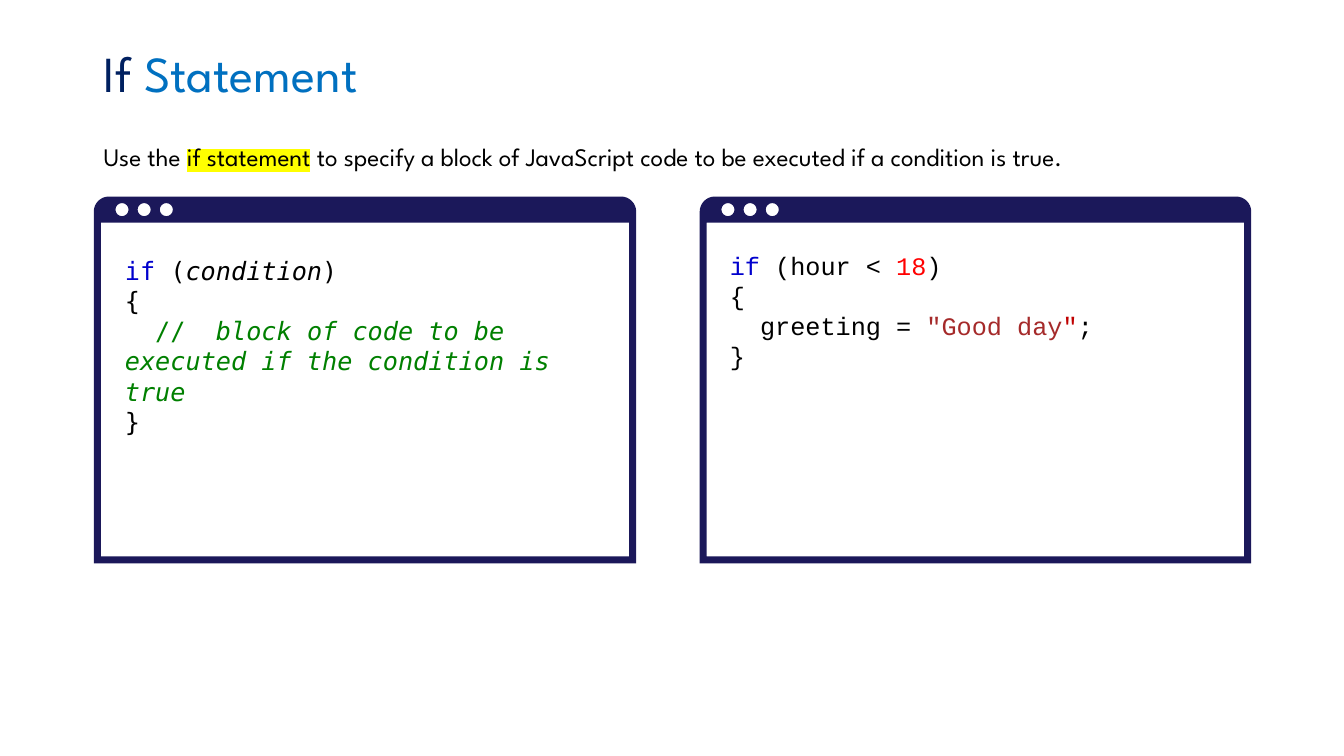
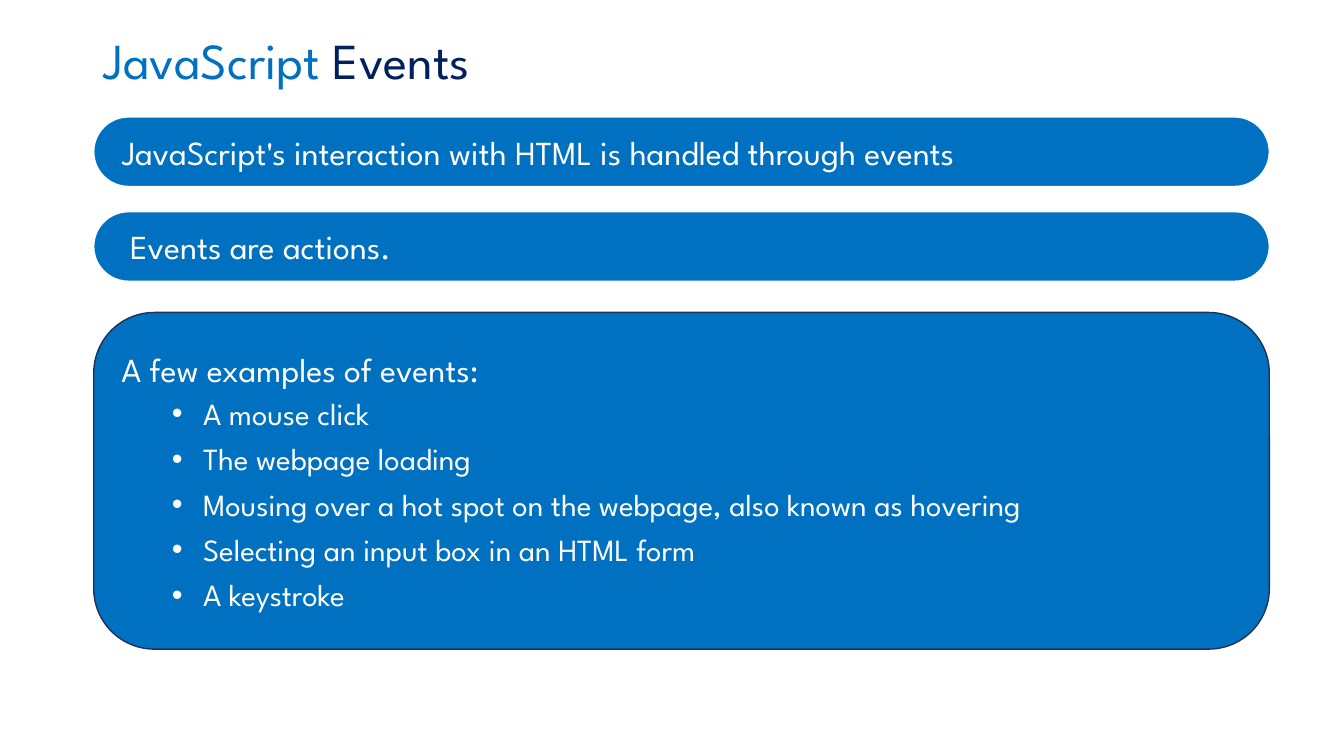
"""Build two JavaScript lesson slides: the if statement and events."""
from dataclasses import dataclass
from typing import Optional

from lxml import etree
from pptx import Presentation
from pptx.dml.color import RGBColor
from pptx.enum.shapes import MSO_SHAPE
from pptx.enum.text import MSO_ANCHOR, PP_ALIGN
from pptx.oxml.ns import qn
from pptx.shapes.autoshape import Shape
from pptx.slide import Slide
from pptx.text.text import TextFrame
from pptx.util import Inches, Pt

ROUNDED = MSO_SHAPE.ROUNDED_RECTANGLE
MIDDLE, TOP = MSO_ANCHOR.MIDDLE, MSO_ANCHOR.TOP
LEFT, JUSTIFY = PP_ALIGN.LEFT, PP_ALIGN.JUSTIFY
BLANK_LAYOUT = 6
ARC_PULL = 0.55
Point = tuple[float, float]


@dataclass(frozen=True)
class Theme:
    """Fonts, type sizes and colours of the deck."""
    font: str = "League Spartan"
    mono: str = "DejaVu Sans Mono"
    courier: str = "Courier New"
    bullet_font: str = "Arial"
    title_size: int = 36
    body_size: int = 18
    bar_size: int = 24
    bullet_size: int = 22
    navy: str = "002060"
    blue: str = "0070C0"
    frame: str = "1B185A"
    outline: str = "1E3256"
    white: str = "FFFFFF"
    black: str = "000000"
    marker: str = "FFFF00"
    keyword: str = "0000CD"
    comment: str = "008000"
    number: str = "FF0000"
    string: str = "A52A2A"
    quote: str = "C00000"


THEME = Theme()


@dataclass(frozen=True)
class Span:
    """A stretch of text in one style, with line breaks as newlines."""
    text: str
    color: str = THEME.black
    italic: bool = False
    highlight: str = ""


@dataclass(frozen=True)
class Line:
    """A paragraph with its type and spacing."""
    spans: tuple[Span, ...]
    size: int = THEME.body_size
    font: str = THEME.font
    align: PP_ALIGN = LEFT
    before: float = 0
    spacing: float = 1.0
    margin: float = 0
    indent: float = 0
    bullet: str = ""


@dataclass(frozen=True)
class Box:
    """A rectangle in inches."""
    left: float
    top: float
    width: float
    height: float


@dataclass(frozen=True)
class Step:
    """An outline point, reached by a quarter arc when a corner is given."""
    end: Point
    corner: Optional[Point] = None


@dataclass(frozen=True)
class CodeWindow:
    """A window frame and the code inside it."""
    frame: Box
    code: Box
    lines: tuple[Line, ...]


@dataclass(frozen=True)
class Panel:
    """A filled rounded panel with text."""
    box: Box
    rounding: float
    outline: str
    inset: float
    lines: tuple[Line, ...]


def code_line(font: str, *spans: Span) -> Line:
    """Return a paragraph of code."""
    return Line(spans, font=font)


def panel_line(text: str, before: float = 0) -> Line:
    """Return a large white line."""
    return Line((Span(text, THEME.white),), THEME.bar_size, align=JUSTIFY, before=before)


def bullet_line(text: str, before: float) -> Line:
    """Return a white bulleted line."""
    return Line((Span(text, THEME.white),), THEME.bullet_size, align=JUSTIFY,
                before=before, margin=0.81, indent=-0.31, bullet="•")


def write_lines(frame: TextFrame, lines: tuple[Line, ...], anchor: MSO_ANCHOR) -> None:
    """Write styled paragraphs into a text frame."""
    frame.word_wrap = True
    frame.vertical_anchor = anchor
    for position, line in enumerate(lines):
        paragraph = frame.add_paragraph() if position else frame.paragraphs[0]
        paragraph.alignment = line.align
        paragraph.space_before = Pt(line.before)
        paragraph.line_spacing = line.spacing
        if line.bullet:
            paragraph.level = 1
            properties = paragraph._p.get_or_add_pPr()
            properties.set("marL", str(Inches(line.margin)))
            properties.set("indent", str(Inches(line.indent)))
            etree.SubElement(properties, qn("a:buFont")).set("typeface", THEME.bullet_font)
            etree.SubElement(properties, qn("a:buChar")).set("char", line.bullet)
        for span in line.spans:
            for row, text in enumerate(span.text.split("\n")):
                if row:
                    paragraph.add_line_break()
                if not text:
                    continue
                run = paragraph.add_run()
                run.text = text
                run.font.name = line.font
                run.font.size = Pt(line.size)
                run.font.italic = span.italic
                run.font.color.rgb = RGBColor.from_string(span.color)
                if span.highlight:
                    highlight = etree.Element(qn("a:highlight"))
                    etree.SubElement(highlight, qn("a:srgbClr")).set("val", span.highlight)
                    run._r.rPr.find(qn("a:solidFill")).addnext(highlight)


def add_text(slide: Slide, box: Box, lines: tuple[Line, ...], anchor: MSO_ANCHOR) -> None:
    """Add a text box."""
    area = slide.shapes.add_textbox(Inches(box.left), Inches(box.top),
                                    Inches(box.width), Inches(box.height))
    write_lines(area.text_frame, lines, anchor)


def add_title(slide: Slide, top: float, *spans: Span) -> None:
    """Add the slide heading."""
    heading = Line(spans, THEME.title_size, spacing=0.9)
    add_text(slide, Box(0.93, top, 11.5, 0.8), (heading,), MIDDLE)


def paint(shape: Shape, fill: str) -> None:
    """Fill a shape and drop its shadow."""
    shape.shadow.inherit = False
    shape.fill.solid()
    shape.fill.fore_color.rgb = RGBColor.from_string(fill)


def circle(x: float, y: float, radius: float) -> list[Step]:
    """Return a circle as four quarter arcs."""
    left, right, top, bottom = x - radius, x + radius, y - radius, y + radius
    return [Step((right, y)), Step((x, top), (right, top)), Step((left, y), (left, top)),
            Step((x, bottom), (left, bottom)), Step((right, y), (right, bottom))]


def add_outline(slide: Slide, contours: list[list[Step]]) -> Shape:
    """Draw contours as one freeform and round its arcs."""
    start, *rest = [[(Inches(step.end[0]), Inches(step.end[1])) for step in contour]
                    for contour in contours]
    builder = slide.shapes.build_freeform(*start[0])
    builder.add_line_segments(start[1:])
    for points in rest:
        builder.move_to(*points[0])
        builder.add_line_segments(points[1:])
    shape = builder.convert_to_shape()
    steps = [step for contour in contours for step in contour]
    nodes = list(shape._element.iter(qn("a:moveTo"), qn("a:lnTo")))
    for index, (step, node) in enumerate(zip(steps, nodes)):
        if step.corner is None:
            continue
        curve = etree.Element(qn("a:cubicBezTo"))
        for anchor in (steps[index - 1].end, step.end):
            x, y = (end + (corner - end) * ARC_PULL
                    for end, corner in zip(anchor, step.corner))
            control = etree.SubElement(curve, qn("a:pt"))
            control.set("x", str(Inches(x) - shape.left))
            control.set("y", str(Inches(y) - shape.top))
        curve.append(node[0])
        node.getparent().replace(node, curve)
    return shape


def add_window_frame(slide: Slide, box: Box) -> None:
    """Draw a window frame with three round buttons cut out."""
    border, header, radius = 0.07, 0.26, 0.15
    left, top = box.left, box.top
    right, bottom = left + box.width, top + box.height
    outer = [Step((left, bottom)), Step((left, top + radius)),
             Step((left + radius, top), (left, top)), Step((right - radius, top)),
             Step((right, top + radius), (right, top)), Step((right, bottom))]
    pane = [Step((left + border, top + header)), Step((left + border, bottom - border)),
            Step((right - border, bottom - border)), Step((right - border, top + header))]
    buttons = [circle(left + 0.28 + 0.22 * index, top + 0.13, 0.065) for index in range(3)]
    window = add_outline(slide, [outer, pane, *buttons])
    paint(window, THEME.frame)
    window.line.fill.background()


def add_panel(slide: Slide, panel: Panel) -> None:
    """Draw a rounded panel with its text."""
    box = panel.box
    shape = slide.shapes.add_shape(ROUNDED, Inches(box.left), Inches(box.top),
                                   Inches(box.width), Inches(box.height))
    shape.adjustments[0] = panel.rounding
    paint(shape, THEME.blue)
    shape.line.color.rgb = RGBColor.from_string(panel.outline)
    shape.line.width = Pt(1)
    frame = shape.text_frame
    frame.margin_left = Inches(panel.inset)
    frame.margin_top = frame.margin_bottom = 0
    write_lines(frame, panel.lines, MIDDLE)


WINDOWS = (
    CodeWindow(Box(0.93, 1.95, 5.38, 3.64), Box(1.14, 2.48, 4.82, 1.92), (
        code_line(THEME.mono, Span("if ", THEME.keyword), Span("("),
                  Span("condition", italic=True), Span(")")),
        code_line(THEME.mono, Span("{\n  "), Span("//", THEME.comment),
                  Span("  block of code to be executed if the condition is true\n",
                       THEME.comment, italic=True), Span("}")),
    )),
    CodeWindow(Box(6.94, 1.95, 5.47, 3.64), Box(7.14, 2.43, 4.88, 1.31), (
        code_line(THEME.courier, Span("if ", THEME.keyword), Span("(hour < "),
                  Span("18", THEME.number), Span(")")),
        code_line(THEME.courier, Span("{\n  greeting = "), Span('"Good day', THEME.string),
                  Span('"', THEME.quote), Span(";\n}")),
    )),
)

EXAMPLES = ("A mouse click", "The webpage loading",
            "Mousing over a hot spot on the webpage, also known as hovering",
            "Selecting an input box in an HTML form", "A keystroke")

PANELS = (
    Panel(Box(0.93, 1.16, 11.66, 0.69), 0.5, THEME.white, 0.18,
          (panel_line("JavaScript's interaction with HTML is handled through events"),)),
    Panel(Box(0.93, 2.1, 11.66, 0.69), 0.5, THEME.white, 0.26,
          (panel_line("Events are actions."),)),
    Panel(Box(0.93, 3.1, 11.66, 3.34), 0.18, THEME.outline, 0.1,
          (panel_line("A few examples of events:", before=14),
           *(bullet_line(example, 6 if index else 4)
             for index, example in enumerate(EXAMPLES)))),
)


def build_if_slide(slide: Slide) -> None:
    """Build the slide on the if statement."""
    add_title(slide, 0.36, Span("If ", THEME.navy), Span("Statement", THEME.blue))
    usage = Line((
        Span("Use the "), Span("if statement", highlight=THEME.marker),
        Span(" to specify a block of JavaScript code to be executed if a condition is true."),
    ))
    add_text(slide, Box(0.93, 1.35, 11.74, 0.4), (usage,), MIDDLE)
    for window in WINDOWS:
        add_window_frame(slide, window.frame)
        add_text(slide, window.code, window.lines, TOP)


def build_events_slide(slide: Slide) -> None:
    """Build the slide on events."""
    add_title(slide, 0.23, Span("JavaScript ", THEME.blue), Span("Events", THEME.navy))
    for panel in PANELS:
        add_panel(slide, panel)


def main() -> None:
    """Build and save the deck."""
    deck = Presentation()
    deck.slide_width, deck.slide_height = Inches(13.33), Inches(7.5)
    for build in (build_if_slide, build_events_slide):
        build(deck.slides.add_slide(deck.slide_layouts[BLANK_LAYOUT]))
    deck.save("out.pptx")


if __name__ == "__main__":
    main()
